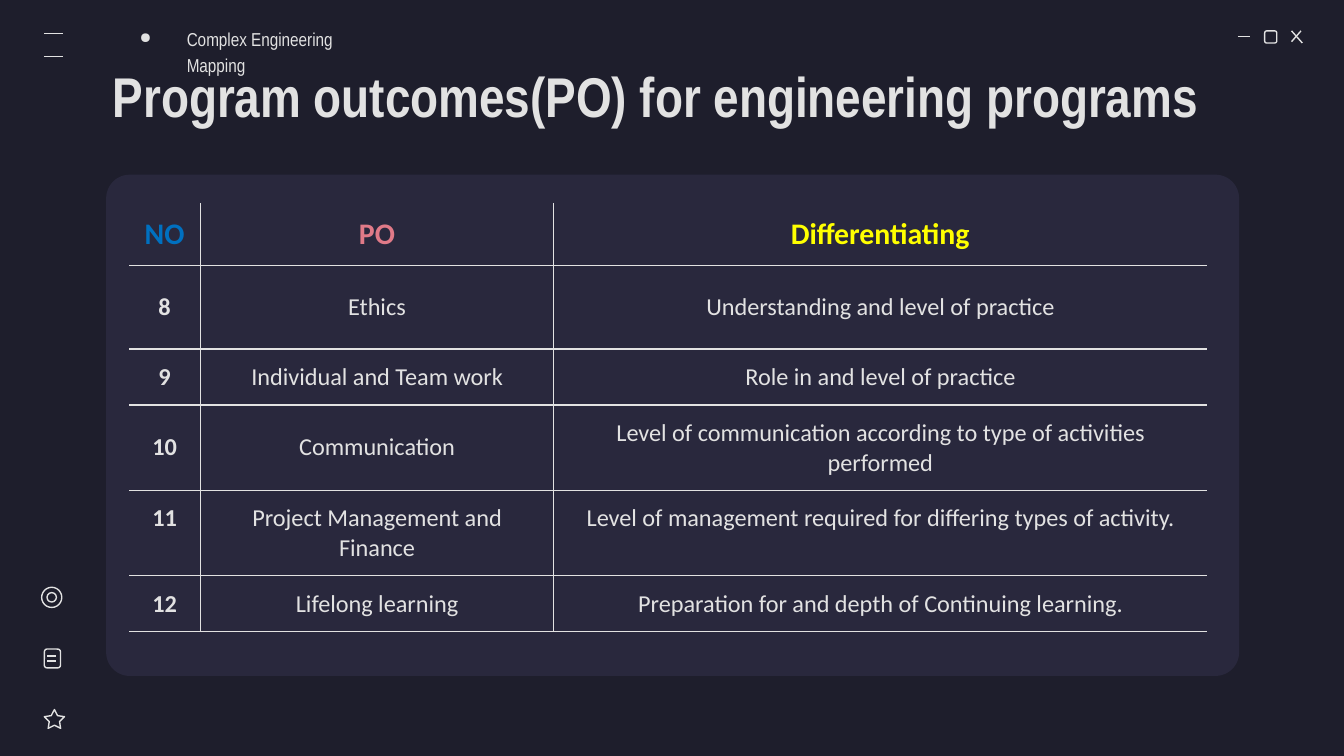
import dataclasses

import pptx
import pptx.dml.color
import pptx.enum.shapes
import pptx.enum.text
import pptx.oxml
import pptx.oxml.ns
import pptx.util

Inches = pptx.util.Inches
Pt = pptx.util.Pt
RGB = pptx.dml.color.RGBColor.from_string
SHAPE = pptx.enum.shapes.MSO_SHAPE
ANCHOR = pptx.enum.text.MSO_ANCHOR
NAMESPACE = pptx.oxml.ns.nsdecls("a")


@dataclasses.dataclass(frozen=True)
class Theme:
    background: str = "1E1E2C"
    panel: str = "29283D"
    light: str = "E2E2E2"
    headers: tuple = ("0070C0", "E07A88", "FFFF00")
    heading_font: str = "Arial Narrow"
    body_font: str = "Calibri"
    title_size: int = 30
    header_size: int = 16
    body_size: int = 13
    subtitle_size: int = 10
    line_width: float = 0.75


theme = Theme()


def style_text(paragraph, font_name, size, color, bold=False):
    font = paragraph.runs[0].font
    font.name = font_name
    font.size = Pt(size)
    font.bold = bold
    font.color.rgb = RGB(color)


def add_textbox(slide, left, top, width, height, text, size, bold=False):
    text_frame = slide.shapes.add_textbox(
        Inches(left), Inches(top), Inches(width), Inches(height)).text_frame
    text_frame.word_wrap = True
    text_frame.vertical_anchor = ANCHOR.MIDDLE
    text_frame.margin_left = text_frame.margin_right = Inches(0.1)
    text_frame.margin_top = text_frame.margin_bottom = Inches(0.1)
    text_frame.text = text
    style_text(text_frame.paragraphs[0], theme.heading_font, size, theme.light, bold)
    return text_frame


presentation = pptx.Presentation()
presentation.slide_width = Inches(10)
presentation.slide_height = Inches(10 * 9 / 16)
slide = presentation.slides.add_slide(presentation.slide_layouts[6])
slide.background.fill.solid()
slide.background.fill.fore_color.rgb = RGB(theme.background)

panel = slide.shapes.add_shape(
    SHAPE.ROUNDED_RECTANGLE, Inches(0.79), Inches(1.3), Inches(8.43), Inches(3.73))
panel.adjustments[0] = 0.047
panel.shadow.inherit = False
panel.fill.solid()
panel.fill.fore_color.rgb = RGB(theme.panel)
panel.line.fill.background()

icon_shapes = [
    (SHAPE.ROUNDED_RECTANGLE, 9.41, 0.23, 0.09, 0.09),
    (SHAPE.STAR_5_POINT, 0.33, 5.28, 0.15, 0.14),
    (SHAPE.ROUNDED_RECTANGLE, 0.33, 4.83, 0.12, 0.14),
    (SHAPE.OVAL, 0.31, 4.37, 0.15, 0.15),
    (SHAPE.OVAL, 0.35, 4.41, 0.07, 0.07),
]
for kind, *place in icon_shapes:
    icon = slide.shapes.add_shape(kind, *map(Inches, place))
    icon.shadow.inherit = False
    icon.fill.background()
    icon.line.color.rgb = RGB(theme.light)
    icon.line.width = Pt(theme.line_width)
    if kind == SHAPE.STAR_5_POINT:
        icon.adjustments[0] = 0.254

icon_lines = [
    (9.21, 0.27, 9.3, 0.27),
    (9.61, 0.23, 9.69, 0.32),
    (9.68, 0.23, 9.61, 0.31),
    (0.33, 0.25, 0.47, 0.25),
    (0.33, 0.42, 0.47, 0.42),
    (0.35, 4.88, 0.42, 4.88),
    (0.35, 4.92, 0.42, 4.92),
]
for ends in icon_lines:
    connector = slide.shapes.add_connector(
        pptx.enum.shapes.MSO_CONNECTOR.STRAIGHT, *map(Inches, ends))
    connector.line.color.rgb = RGB(theme.light)
    connector.line.width = Pt(theme.line_width)
    connector._element.spPr.append(pptx.oxml.parse_xml(f"<a:effectLst {NAMESPACE}/>"))

subtitle = add_textbox(slide, 0.89, 0.27, 1.73, 0.21,
                       "Complex Engineering Mapping", theme.subtitle_size)
subtitle.margin_left = 0
subtitle.paragraphs[0].line_spacing = 1.15
properties = subtitle.paragraphs[0]._p.get_or_add_pPr()
properties.set("marL", str(Inches(0.5)))
properties.set("indent", str(Inches(-0.35)))
for bullet in (f'<a:buClr {NAMESPACE}><a:srgbClr val="{theme.light}"/></a:buClr>',
               f'<a:buSzPct {NAMESPACE} val="80000"/>',
               f'<a:buChar {NAMESPACE} char="●"/>'):
    properties.append(pptx.oxml.parse_xml(bullet))

add_textbox(slide, 0.74, 0.38, 9.07, 0.65,
            "Program outcomes(PO) for engineering programs", theme.title_size, True)

outcomes = [
    ("NO", "PO", "Differentiating"),
    ("8", "Ethics", "Understanding and level of practice"),
    ("9", "Individual and Team work", "Role in and level of practice"),
    ("10", "Communication",
     "Level of communication according to type of activities performed"),
    ("11", "Project Management and Finance",
     "Level of management required for differing types of activity."),
    ("12", "Lifelong learning", "Preparation for and depth of Continuing learning."),
]
column_widths = [0.53, 2.63, 4.86]
row_heights = [0.33, 0.62, 0.29, 0.29, 0.29, 0.29]
table_frame = slide.shapes.add_table(
    len(outcomes), len(column_widths), Inches(0.96), Inches(1.51), Inches(8.02), Inches(3.19))
table = table_frame.table
table.first_row = False
table.horz_banding = False
for column, width in zip(table.columns, column_widths):
    column.width = Inches(width)
for row, height in zip(table.rows, row_heights):
    row.height = Inches(height)
table_frame.height = Inches(3.19)

line_fill = f'<a:solidFill><a:srgbClr val="{theme.light}"/></a:solidFill>'
for row_index, outcome in enumerate(outcomes):
    for column_index, text in enumerate(outcome):
        cell = table.cell(row_index, column_index)
        cell.text = text
        cell.margin_left = cell.margin_right = Inches(0.1)
        cell.margin_top = cell.margin_bottom = Inches(0.1)
        cell.vertical_anchor = ANCHOR.MIDDLE if row_index < 4 else ANCHOR.TOP
        paragraph = cell.text_frame.paragraphs[0]
        paragraph.alignment = pptx.enum.text.PP_ALIGN.CENTER
        is_header = row_index == 0
        style_text(paragraph, theme.body_font,
                   theme.header_size if is_header else theme.body_size,
                   theme.headers[column_index] if is_header else theme.light,
                   is_header or column_index == 0)
        borders = {"lnL": column_index > 0, "lnR": column_index < 2,
                   "lnT": row_index > 0, "lnB": True}
        for side, visible in borders.items():
            cell._tc.get_or_add_tcPr().append(pptx.oxml.parse_xml(
                f'<a:{side} {NAMESPACE} w="{Pt(theme.line_width)}">'
                f'{line_fill if visible else "<a:noFill/>"}</a:{side}>'))
        cell.fill.background()

presentation.save("out.pptx")
